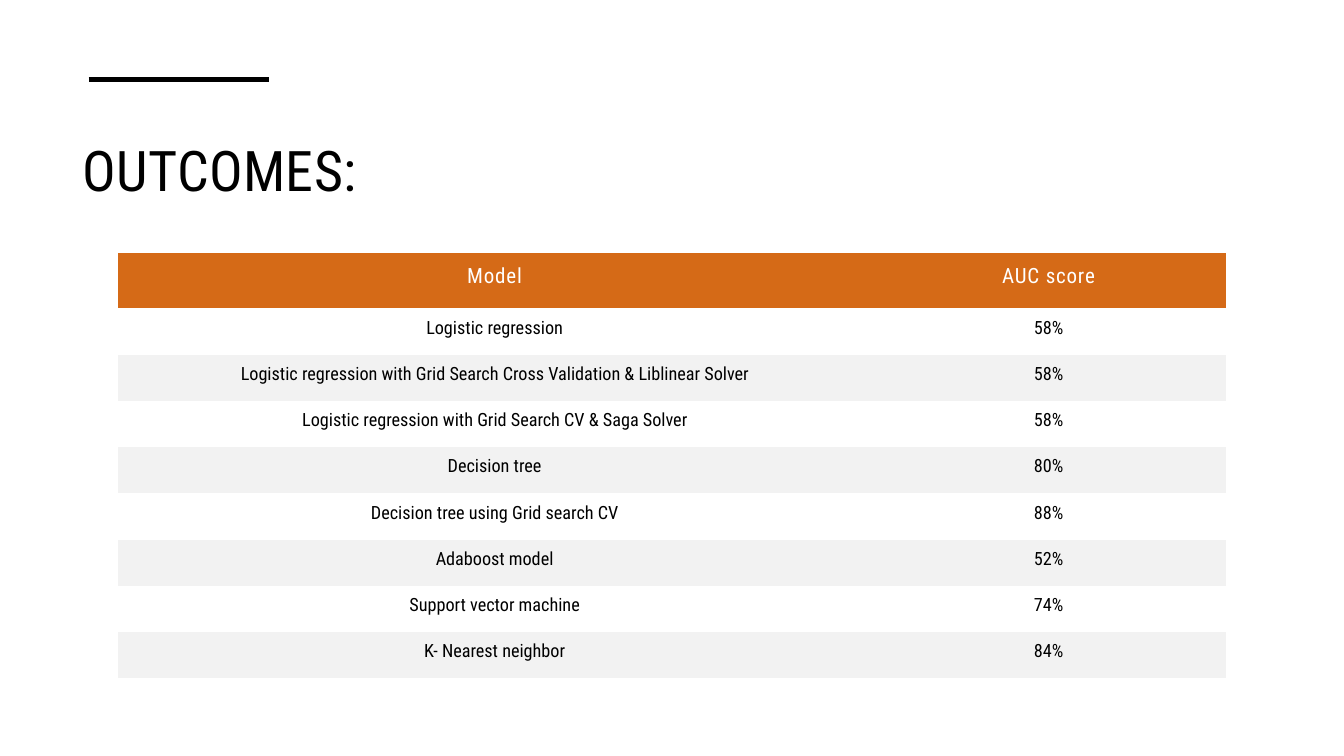
from lxml.etree import SubElement
from pptx import Presentation
from pptx.dml.color import RGBColor
from pptx.enum.shapes import MSO_CONNECTOR
from pptx.enum.text import MSO_ANCHOR, PP_ALIGN
from pptx.oxml.ns import qn
from pptx.util import Inches, Pt

BLACK, WHITE, ORANGE, GREY = "000000", "FFFFFF", "D56A17", "F2F2F2"


def color(hex_code):
    return RGBColor.from_string(hex_code)


def write(holder, text, size, ink=BLACK, spacing=0, align=PP_ALIGN.LEFT,
          anchor=MSO_ANCHOR.TOP, margins=(0.1, 0.05, 0.1, 0.05)):
    """Fill a text frame or cell; margins run left, top, right, bottom."""
    frame = getattr(holder, "text_frame", holder)
    holder.vertical_anchor = anchor
    (holder.margin_left, holder.margin_top,
     holder.margin_right, holder.margin_bottom) = map(Inches, margins)
    frame.word_wrap = True
    para = frame.paragraphs[0]
    para.alignment = align
    span = para.add_run()
    span.text = text
    span.font.name = "Roboto Condensed"
    span.font.size = Pt(size)
    span.font.bold = False
    span.font.color.rgb = color(ink)
    span.font._element.set("spc", str(round(spacing * 100)))


deck = Presentation()
deck.slide_width, deck.slide_height = Inches(13.33), Inches(7.5)
page = deck.slides.add_slide(deck.slide_layouts[6])

# Title
title = page.shapes.add_textbox(Inches(0.72), Inches(1.26), Inches(11.89), Inches(0.77))
write(title.text_frame, "OUTCOMES:", 40, spacing=0.3,
      anchor=MSO_ANCHOR.BOTTOM, margins=(0.1, 0.05, 0.1, 0.02))

# Accent line above the title
accent = page.shapes.add_connector(
    MSO_CONNECTOR.STRAIGHT, Inches(0.88), Inches(0.79), Inches(2.67), Inches(0.79))
accent.line.color.rgb = color(BLACK)
accent.line.width = Pt(3.5)
SubElement(accent._element.spPr, qn("a:effectLst"))

# Table of scores
scores = [
    ("Model", "AUC score"),
    ("Logistic regression", "58%"),
    ("Logistic regression with Grid Search Cross Validation & Liblinear Solver", "58%"),
    ("Logistic regression with Grid Search CV & Saga Solver", "58%"),
    ("Decision tree", "80%"),
    ("Decision tree using Grid search CV", "88%"),
    ("Adaboost model", "52%"),
    ("Support vector machine", "74%"),
    ("K- Nearest neighbor", "84%"),
]
header_height, row_height = 0.55, 0.459
table = page.shapes.add_table(
    len(scores), 2, Inches(1.17), Inches(2.51), Inches(10.99),
    Inches(header_height + row_height * (len(scores) - 1))).table
table.columns[0].width, table.columns[1].width = Inches(7.47), Inches(3.52)

header_format = dict(size=15, ink=WHITE, spacing=0.6, anchor=MSO_ANCHOR.MIDDLE,
                     margins=(0.17, 0.09, 0.17, 0.17))
body_format = dict(size=13, margins=(0.11, 0.09, 0.11, 0.11))

for row, values in enumerate(scores):
    is_header = row == 0
    table.rows[row].height = Inches(header_height if is_header else row_height)
    for column, value in enumerate(values):
        cell = table.cell(row, column)
        write(cell, value, align=PP_ALIGN.CENTER,
              **(header_format if is_header else body_format))
        cell.fill.solid()
        cell.fill.fore_color.rgb = color(ORANGE if is_header else (GREY, WHITE)[row % 2])
        # No cell borders; they precede the fill in the cell properties
        properties = cell._tc.get_or_add_tcPr()
        for index, side in enumerate(("a:lnL", "a:lnR", "a:lnT", "a:lnB")):
            border = SubElement(properties, qn(side), w="0")
            SubElement(border, qn("a:noFill"))
            properties.insert(index, border)

deck.save("out.pptx")
